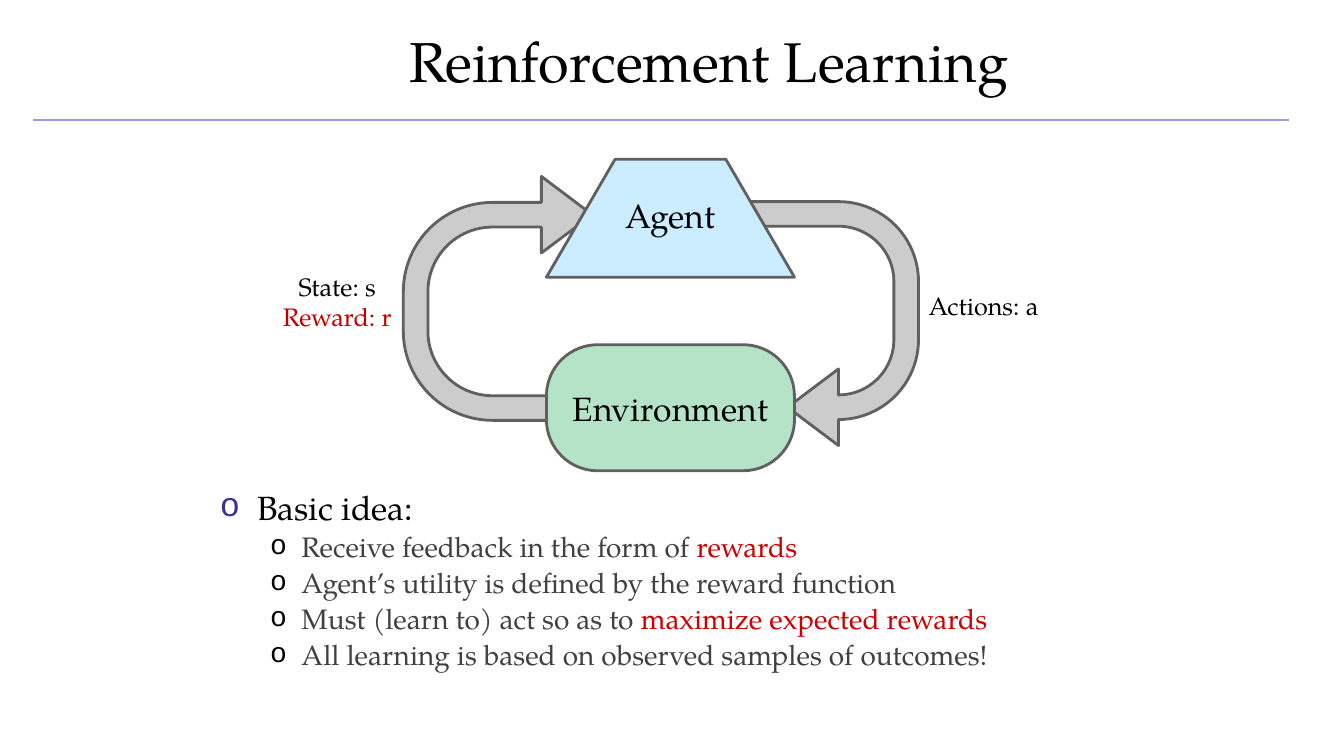
from dataclasses import dataclass

from lxml import etree
from pptx import Presentation
from pptx.dml.color import RGBColor
from pptx.enum.shapes import MSO_CONNECTOR, MSO_SHAPE
from pptx.enum.text import MSO_ANCHOR, MSO_AUTO_SIZE, PP_ALIGN
from pptx.oxml.ns import qn
from pptx.util import Inches, Pt


@dataclass(frozen=True)
class Theme:
    font: str = "TeX Gyre Pagella"
    bullet_font: str = "Courier New"
    title_size: int = 40
    heading_size: int = 24
    item_size: int = 20
    label_size: int = 18
    text: str = "000000"
    item: str = "404040"
    highlight: str = "CC0000"
    reward: str = "C00000"
    bullet: str = "333399"
    rule: str = "9C9CDF"
    outline: str = "606060"
    arrow: str = "CCCCCC"
    agent: str = "CCECFF"
    environment: str = "B5E3C8"


THEME = Theme()

# Each item is a list of (text, colour) pieces.
IDEAS = [
    [("Receive feedback in the form of ", THEME.item), ("rewards", THEME.highlight)],
    [("Agent’s utility is defined by the reward function", THEME.item)],
    [("Must (learn to) act so as to ", THEME.item),
     ("maximize expected rewards", THEME.highlight)],
    [("All learning is based on observed samples of outcomes!", THEME.item)],
]


def rgb(color):
    return RGBColor.from_string(color)


def place(shape, left, top, width, height):
    shape.left, shape.top = Inches(left), Inches(top)
    shape.width, shape.height = Inches(width), Inches(height)


def style_paragraph(paragraph, size, color=None, align=None):
    paragraph.alignment = align
    paragraph.font.name = THEME.font
    paragraph.font.size = Pt(size)
    if color:
        paragraph.font.color.rgb = rgb(color)


def add_bullet(paragraph, color, indent, hanging):
    properties = paragraph._p.get_or_add_pPr()
    properties.set("marL", str(Inches(indent)))
    properties.set("indent", str(-Inches(hanging)))
    bullet_color = etree.SubElement(properties, qn("a:buClr"))
    etree.SubElement(bullet_color, qn("a:srgbClr"), val=color)
    etree.SubElement(properties, qn("a:buFont"), typeface=THEME.bullet_font)
    etree.SubElement(properties, qn("a:buChar"), char="o")
    paragraph.line_spacing = 0.9


def fill_title(title):
    place(title, 0, -0.03, 14.06, 1.25)
    title.text_frame.text = "Reinforcement Learning"
    title.text_frame.vertical_anchor = MSO_ANCHOR.MIDDLE
    style_paragraph(title.text_frame.paragraphs[0], THEME.title_size,
                    THEME.text, PP_ALIGN.CENTER)


def fill_body(body):
    place(body, 2.08, 4.83, 9.67, 2.25)
    frame = body.text_frame
    frame.auto_size = MSO_AUTO_SIZE.NONE
    heading = frame.paragraphs[0]
    heading.text = "Basic idea:"
    add_bullet(heading, THEME.bullet, 0.37, 0.37)
    heading.space_before = Pt(0)
    style_paragraph(heading, THEME.heading_size, THEME.text)
    for pieces in IDEAS:
        paragraph = frame.add_paragraph()
        paragraph.level = 1
        add_bullet(paragraph, THEME.text, 0.81, 0.31)
        paragraph.space_before = Pt(4)
        style_paragraph(paragraph, THEME.item_size)
        for text, color in pieces:
            run = paragraph.add_run()
            run.text = text
            run.font.color.rgb = rgb(color)


def add_rule(slide):
    rule = slide.shapes.add_connector(MSO_CONNECTOR.STRAIGHT, Inches(0.33),
                                      Inches(1.19), Inches(12.78), Inches(1.19))
    rule.line.color.rgb = rgb(THEME.rule)
    rule.line.width = Pt(1)
    etree.SubElement(rule._element.spPr, qn("a:effectLst"))


def add_outlined_shape(slide, kind, box, fill, adjustments):
    shape = slide.shapes.add_shape(kind, *map(Inches, box))
    for index, value in enumerate(adjustments):
        shape.adjustments[index] = value
    shape.shadow.inherit = False
    shape.fill.solid()
    shape.fill.fore_color.rgb = rgb(fill)
    shape.line.color.rgb = rgb(THEME.outline)
    shape.line.width = Pt(2)
    return shape


def add_loop_arrow(slide, left, top, rotation, length):
    arrow = add_outlined_shape(slide, MSO_SHAPE.U_TURN_ARROW, (left, top, 2.42, 2.02),
                               THEME.arrow, (0.121, 0.188, 0.25, 0.438, length))
    arrow.rotation = rotation


def add_node(slide, kind, text, box, fill, adjustment):
    node = add_outlined_shape(slide, kind, box, fill, [adjustment])
    node.text_frame.text = text
    node.text_frame.vertical_anchor = MSO_ANCHOR.MIDDLE
    style_paragraph(node.text_frame.paragraphs[0], THEME.heading_size,
                    THEME.text, PP_ALIGN.CENTER)
    return node


def add_label(slide, box, lines):
    frame = slide.shapes.add_textbox(*map(Inches, box)).text_frame
    frame.word_wrap = True
    frame.text = "\n".join(text for text, _ in lines)
    for paragraph, (_, color) in zip(frame.paragraphs, lines):
        style_paragraph(paragraph, THEME.label_size, color, PP_ALIGN.CENTER)


def main():
    presentation = Presentation()
    presentation.slide_width = Inches(13.33)
    presentation.slide_height = Inches(7.5)
    slide = presentation.slides.add_slide(presentation.slide_layouts[1])

    fill_title(slide.shapes.title)
    fill_body(slide.placeholders[1])
    add_rule(slide)

    add_loop_arrow(slide, 3.8, 1.95, 270, 0.928)
    add_loop_arrow(slide, 6.89, 2.2, 90, 0.643)
    add_node(slide, MSO_SHAPE.ROUNDED_RECTANGLE, "Environment",
             (5.42, 3.42, 2.46, 1.25), THEME.environment, 0.406)
    agent = add_node(slide, MSO_SHAPE.TRAPEZOID, "Agent",
                     (5.42, 1.58, 2.46, 1.17), THEME.agent, 0.582)
    agent.text_frame.vertical_anchor = MSO_ANCHOR.TOP
    agent.text_frame.margin_top = Inches(0.14)

    add_label(slide, (8.83, 2.83, 1.85, 0.4), [("Actions: a", THEME.text)])
    add_label(slide, (2.42, 2.64, 1.85, 0.71),
              [("State: s", THEME.text), ("Reward: r", THEME.reward)])
    presentation.save("out.pptx")


if __name__ == "__main__":
    main()
